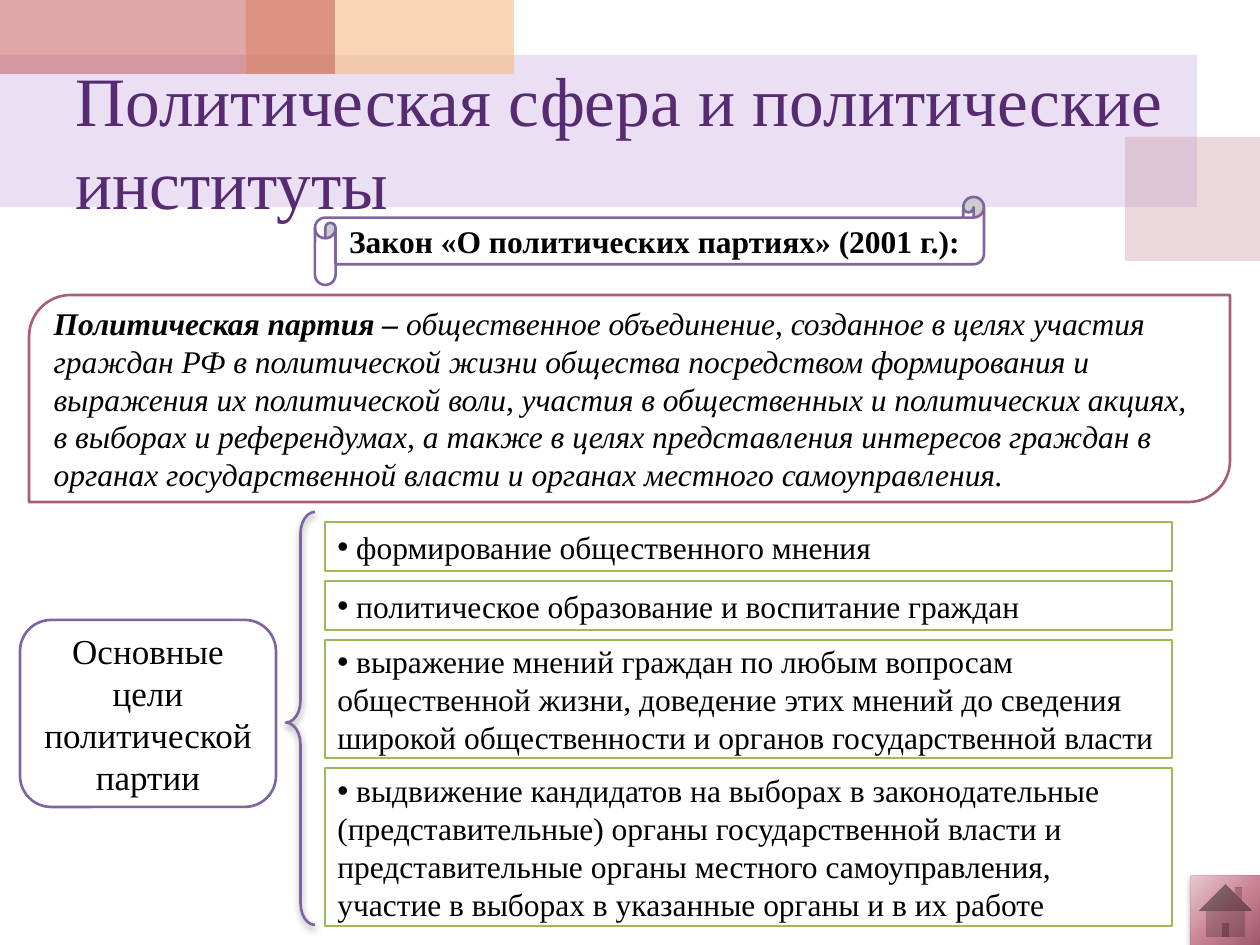
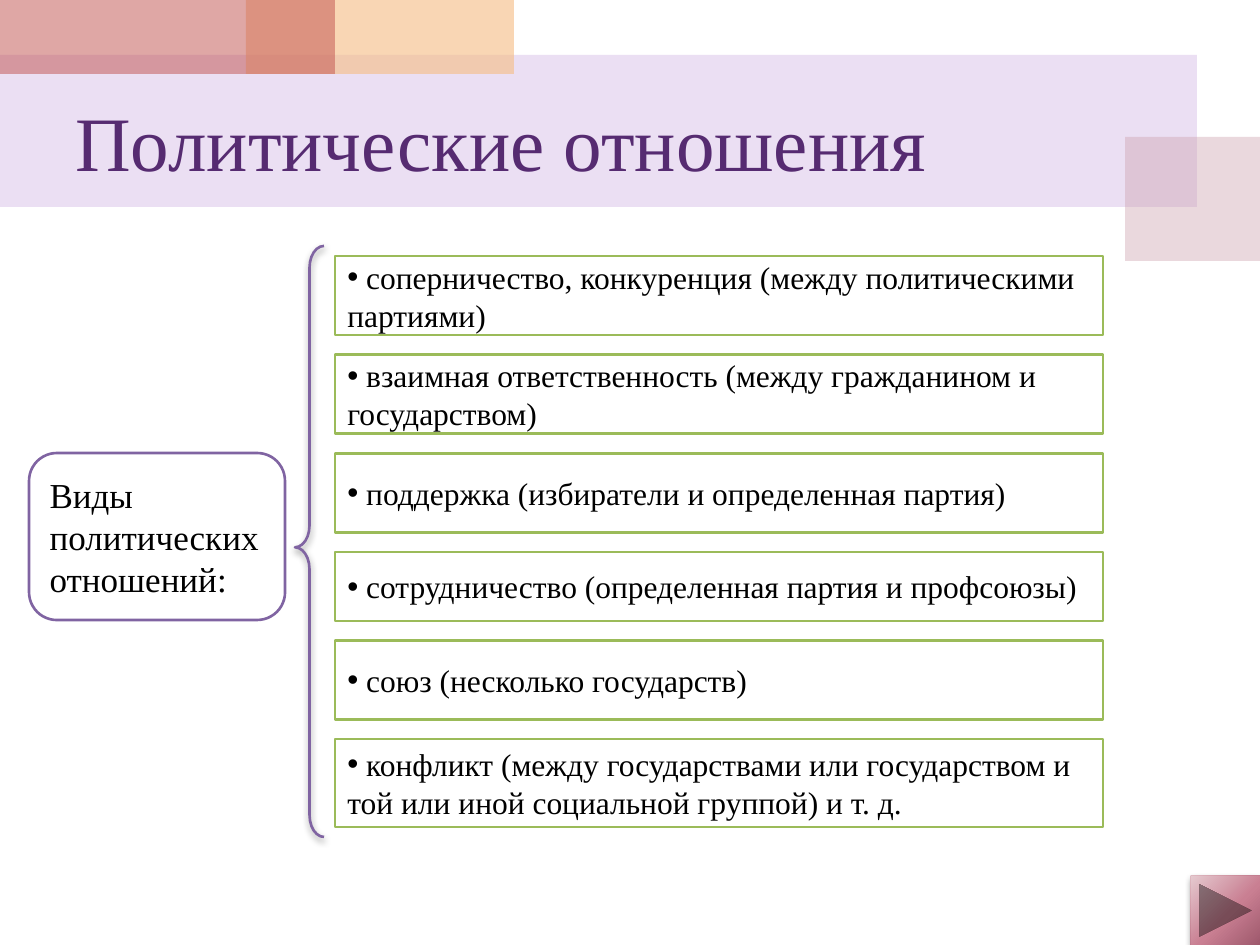
from dataclasses import dataclass

from pptx import Presentation
from pptx.dml.color import RGBColor
from pptx.enum.shapes import MSO_SHAPE
from pptx.enum.text import MSO_ANCHOR, PP_ALIGN
from pptx.oxml import parse_xml
from pptx.oxml.ns import nsdecls, qn
from pptx.util import Emu, Pt

SCALE = 914400 / 126
SLIDE_W, SLIDE_H = 1260, 945


@dataclass(frozen=True)
class Theme:
    """Colours, font and type sizes shared by the slides."""
    font: str = "Times New Roman"
    title: str = "562B71"
    text: str = "000000"
    paper: str = "FFFFFF"
    violet: str = "8064A2"
    green: str = "9BBB59"
    rose: str = "AA5E74"
    button: tuple = ((0, "E5C9CF"), (55, "C97F92"), (100, "9E586C"))
    bands: tuple = (
        ((0, 55, 1197, 152), "BF98D8", 30),
        ((1125, 137, 135, 124), "CC9EAC", 40),
        ((246, 0, 268, 74), "F5BC83", 60),
        ((0, 0, 335, 74), "C0504D", 50),
    )
    title_size: float = 44
    long_title_size: float = 39.6
    label_size: float = 20
    body_size: float = 18
    line_width: float = 1.5


THEME = Theme()


def emu(box):
    """Turn lengths in px into EMU."""
    return [Emu(round(length * SCALE)) for length in box]


def add_outline(slide, kind, box, fill=None, line=None):
    """Add a preset shape with a plain fill and line, either of them optional."""
    shape = slide.shapes.add_shape(kind, *emu(box))
    shape.shadow.inherit = False
    if fill:
        shape.fill.solid()
        shape.fill.fore_color.rgb = RGBColor.from_string(fill)
    else:
        shape.fill.background()
    if line:
        shape.line.color.rgb = RGBColor.from_string(line)
        shape.line.width = Pt(THEME.line_width)
    else:
        shape.line.fill.background()
    return shape


def cast_shadow(shape, opacity):
    """Give a shape a soft shadow straight below it."""
    shape.element.spPr.find(qn("a:effectLst")).append(parse_xml(
        f'<a:outerShdw {nsdecls("a")} blurRad="{Pt(4)}" dist="{Pt(2)}" '
        'dir="5400000" rotWithShape="0"><a:srgbClr val="000000">'
        f'<a:alpha val="{opacity * 1000}"/></a:srgbClr></a:outerShdw>'))


def format_runs(paragraph, size, color=THEME.text, align=PP_ALIGN.LEFT):
    """Set the alignment of a paragraph and the font of its runs."""
    paragraph.alignment = align
    for run in paragraph.runs:
        run.font.name = THEME.font
        run.font.size = Pt(size)
        run.font.color.rgb = RGBColor.from_string(color)


def write(holder, text, size, color=THEME.text, align=PP_ALIGN.LEFT):
    """Put one vertically centred paragraph in a shape and return it."""
    frame = holder.text_frame
    frame.word_wrap = True
    frame.vertical_anchor = MSO_ANCHOR.MIDDLE
    frame.text = text
    paragraph = frame.paragraphs[0]
    format_runs(paragraph, size, color, align)
    return paragraph


def add_background(slide):
    """Draw the translucent colour bands."""
    for box, color, opacity in THEME.bands:
        band = add_outline(slide, MSO_SHAPE.RECTANGLE, box, color)
        tint = band.element.spPr.find(qn("a:solidFill")).find(qn("a:srgbClr"))
        tint.append(parse_xml(f'<a:alpha {nsdecls("a")} val="{opacity * 1000}"/>'))


def add_title(slide, text, size):
    """Write the slide title over the violet band."""
    title = slide.shapes.add_textbox(*emu((63, 74, 1134, 133)))
    write(title, text, size, THEME.title)


def add_button(slide, kind):
    """Place the shaded navigation button in the lower right corner."""
    side = 69
    button = add_outline(slide, kind, (SLIDE_W - side, SLIDE_H - side, side, side))
    stops = "".join(
        f'<a:gs pos="{position * 1000}"><a:srgbClr val="{color}"/></a:gs>'
        for position, color in THEME.button)
    properties = button.element.spPr
    properties.replace(properties.find(qn("a:noFill")), parse_xml(
        f'<a:gradFill {nsdecls("a")} rotWithShape="1"><a:gsLst>{stops}</a:gsLst>'
        '<a:path path="circle"><a:fillToRect l="-40000" t="-90000" '
        'r="140000" b="190000"/></a:path></a:gradFill>'))
    cast_shadow(button, 45)


def add_law(slide, box, text):
    """Name the law on a scroll."""
    scroll = add_outline(slide, MSO_SHAPE.HORIZONTAL_SCROLL, box,
                         THEME.paper, THEME.violet)
    scroll.adjustments[0] = 0.235
    write(scroll, text, THEME.body_size, align=PP_ALIGN.CENTER).font.bold = True
    for run in scroll.text_frame.paragraphs[0].runs:
        run.font.bold = True


def add_definition(slide, box, term, meaning):
    """Set a bold term and its meaning in a frame with two round corners."""
    frame = add_outline(slide, MSO_SHAPE.ROUND_2_DIAG_RECTANGLE, box,
                        THEME.paper, THEME.rose)
    frame.adjustments[0] = 0.201
    paragraph = write(frame, term, THEME.body_size)
    paragraph.add_run().text = meaning
    format_runs(paragraph, THEME.body_size)
    for run, bold in zip(paragraph.runs, (True, False)):
        run.font.bold = bold
        run.font.italic = True


def add_label(slide, box, text, align):
    """Write the heading of a list in a rounded frame."""
    label = add_outline(slide, MSO_SHAPE.FLOWCHART_ALTERNATE_PROCESS, box,
                        THEME.paper, THEME.violet)
    write(label, text, THEME.label_size, align=align)


def add_list(slide, box, items):
    """Stack bulleted frames with equal gaps, with a brace on their left."""
    left, top, width, height = box
    gap = (height - sum(tall for tall, _ in items)) / (len(items) - 1)
    row_top = top
    for tall, text in items:
        row = add_outline(slide, MSO_SHAPE.FLOWCHART_PROCESS,
                          (left, row_top, width, tall), THEME.paper, THEME.green)
        paragraph = write(row, f" {text}", THEME.body_size)
        bullet = f'<a:buFont {nsdecls("a")} typeface="Arial"/>'
        sign = f'<a:buChar {nsdecls("a")} char="•"/>'
        for part in (bullet, sign):
            paragraph._p.get_or_add_pPr().append(parse_xml(part))
        row_top += tall + gap


def add_brace(slide, box):
    """Draw the brace that joins a label to its list."""
    brace = add_outline(slide, MSO_SHAPE.LEFT_BRACE, box, line=THEME.violet)
    brace.adjustments[0] = 0.75
    brace.adjustments[1] = 0.51
    cast_shadow(brace, 40)


def start_slide(deck, title, size, button):
    """Add a blank slide with the shared bands, title and button."""
    slide = deck.slides.add_slide(deck.slide_layouts[6])
    add_background(slide)
    add_title(slide, title, size)
    add_button(slide, button)
    return slide


def build_institutions(deck):
    """Build the slide on political parties and their goals."""
    slide = start_slide(deck, "Политическая сфера и политические институты",
                        THEME.long_title_size, MSO_SHAPE.ACTION_BUTTON_HOME)
    add_law(slide, (315, 197, 669, 88), "Закон «О политических партиях» (2001 г.):")
    add_definition(
        slide, (29, 295, 1201, 207), "Политическая партия – ",
        "общественное объединение, созданное в целях участия граждан РФ в "
        "политической жизни общества посредством формирования и выражения их "
        "политической воли, участия в общественных и политических акциях, в "
        "выборах и референдумах, а также в целях представления интересов граждан "
        "в органах государственной власти и органах местного самоуправления.")
    add_label(slide, (20, 620, 256, 187), "Основные цели политической партии",
              PP_ALIGN.CENTER)
    add_list(slide, (325, 522, 847, 404), (
        (49, "формирование общественного мнения"),
        (49, "политическое образование и воспитание граждан"),
        (118, "выражение мнений граждан по любым вопросам общественной жизни, "
              "доведение этих мнений до сведения широкой общественности и органов "
              "государственной власти"),
        (158, "выдвижение кандидатов на выборах в законодательные "
              "(представительные) органы государственной власти и "
              "представительные органы местного самоуправления, участие в "
              "выборах в указанные органы и в их работе"),
    ))
    add_brace(slide, (286, 512, 29, 413))


def build_relations(deck):
    """Build the slide on the kinds of political relations."""
    slide = start_slide(deck, "Политические отношения", THEME.title_size,
                        MSO_SHAPE.ACTION_BUTTON_FORWARD_OR_NEXT)
    add_label(slide, (29, 453, 256, 167), "Виды политических отношений:",
              PP_ALIGN.LEFT)
    add_list(slide, (335, 256, 768, 571), (
        (79, "соперничество, конкуренция (между политическими партиями)"),
        (79, "взаимная ответственность (между гражданином и государством)"),
        (79, "поддержка (избиратели и определенная партия)"),
        (69, "сотрудничество (определенная партия и профсоюзы)"),
        (79, "союз (несколько государств)"),
        (88, "конфликт (между государствами или государством и той или иной "
             "социальной группой) и т. д."),
    ))
    add_brace(slide, (295, 246, 29, 591))


def main():
    """Build and save the deck."""
    deck = Presentation()
    deck.slide_width, deck.slide_height = emu((SLIDE_W, SLIDE_H))
    build_institutions(deck)
    build_relations(deck)
    deck.save("out.pptx")


if __name__ == "__main__":
    main()
